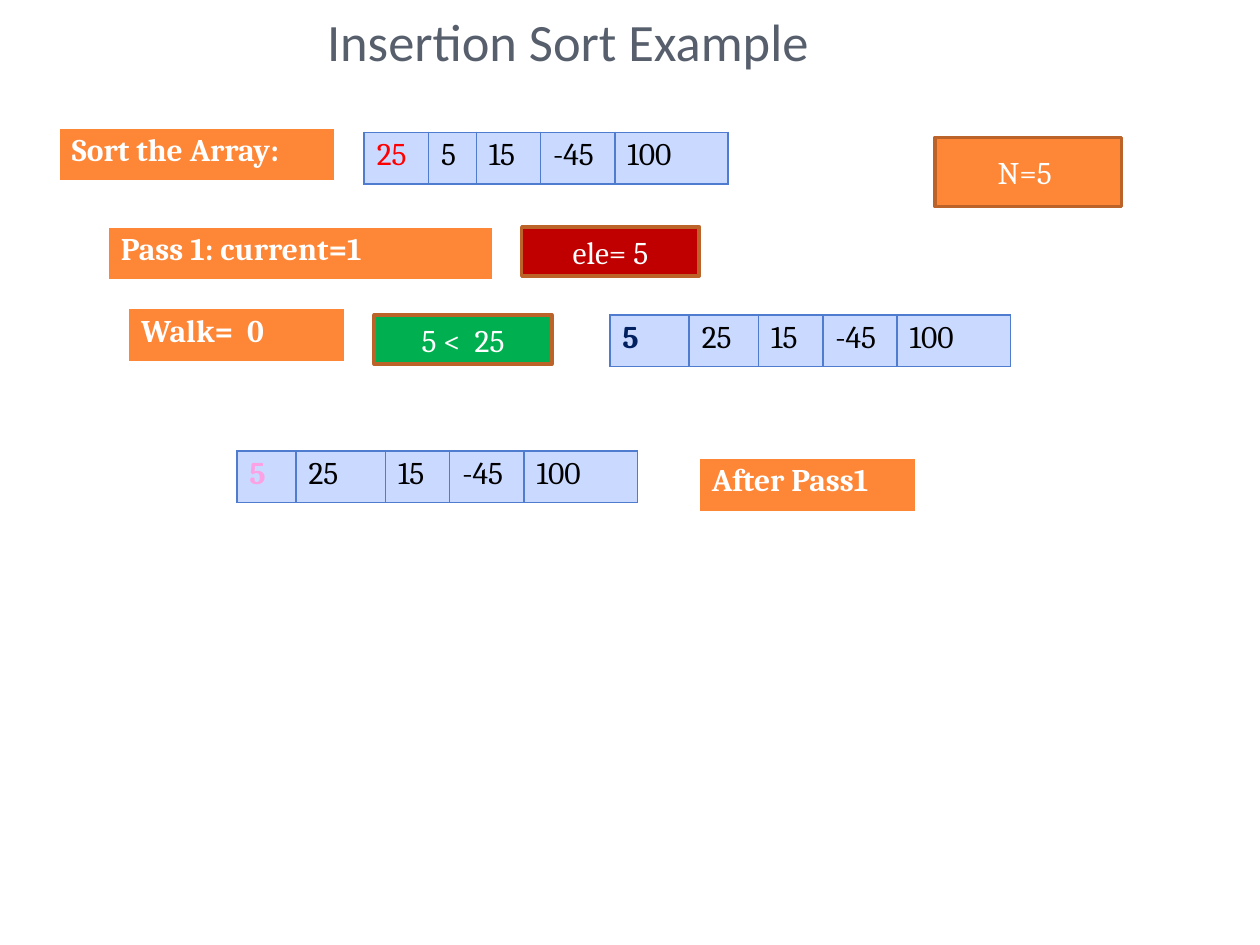
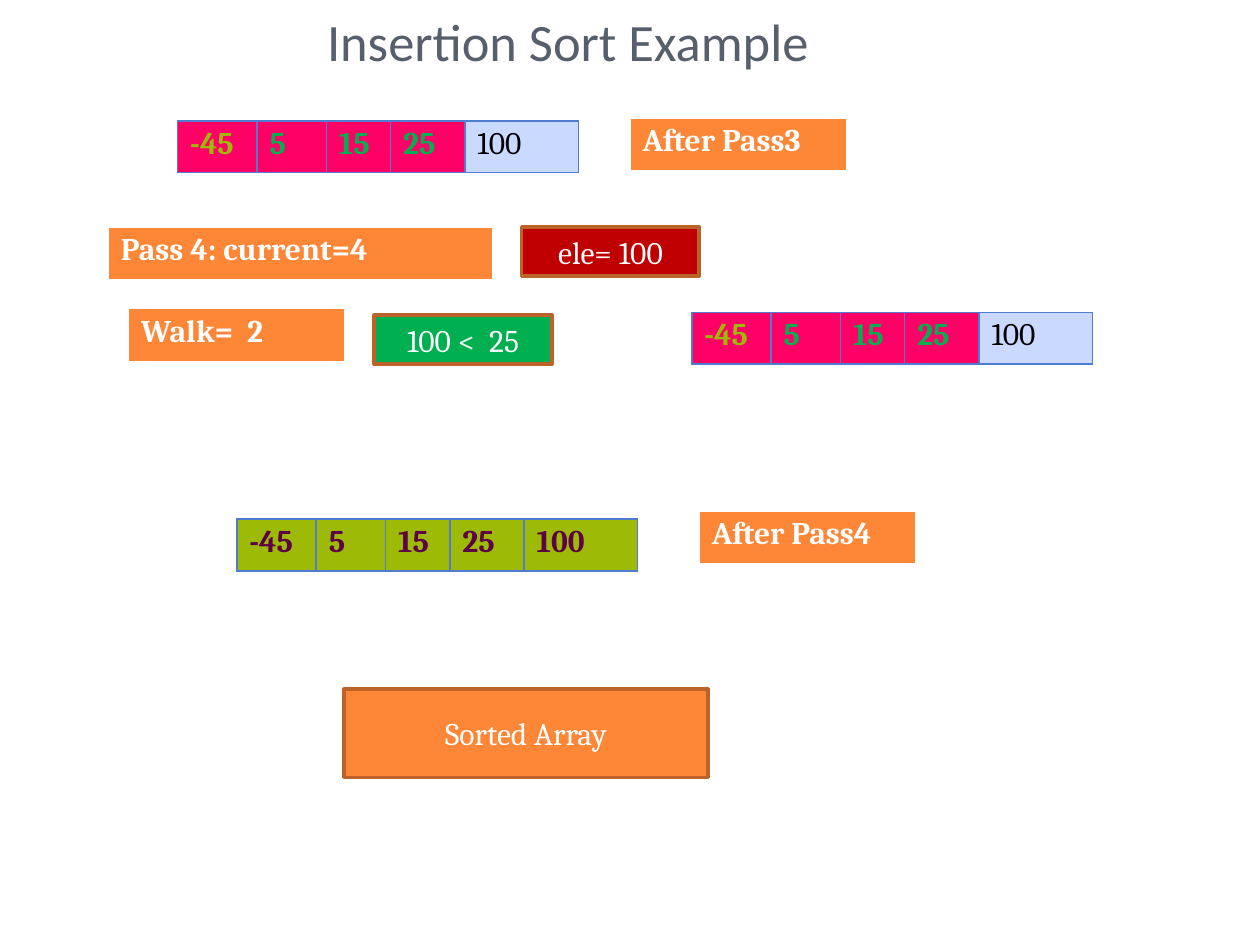
"""Builds two slides that walk through an insertion sort."""
from lxml.etree import SubElement
from pptx import Presentation
from pptx.dml.color import RGBColor
from pptx.enum.shapes import MSO_SHAPE
from pptx.enum.text import MSO_ANCHOR, PP_ALIGN
from pptx.oxml.ns import qn
from pptx.util import Inches, Pt

COLORS = {
    "slate": "575F6D", "white": "FFFFFF", "black": "000000",
    "orange": "FE8637", "rust": "BB6328", "crimson": "C00000",
    "green": "00B050", "sky": "CAD9FF", "grid": "4F7CCE",
    "red": "FF0000", "navy": "002060", "pink": "FCA2E4",
    "magenta": "FF0066", "lime": "9CBA06", "plum": "5D0345",
}
START_WIDTHS = (0.51, 0.38, 0.51, 0.59, 0.9)
MOVED_WIDTHS = (0.63, 0.55, 0.51, 0.59, 0.9)
AFTER_WIDTHS = (0.47, 0.71, 0.51, 0.59, 0.9)
PLAIN = ("black", "sky", False)
SETTLED = ("green", "magenta", True)
NEWEST = ("lime", "magenta", True)
SORTED = ("plum", "lime", True)


def rgb(name):
    return RGBColor.from_string(COLORS[name])


class SortDeck:
    def __init__(self):
        self.deck = Presentation()
        self.deck.slide_width = Inches(10)
        self.deck.slide_height = Inches(7.5)
        self.slide = None

    def style(self, paragraph, color, bold=False, size=18, face="Cambria"):
        font = paragraph.font
        font.name, font.size, font.bold = face, Pt(size), bold
        font.color.rgb = rgb(color)

    def start(self, heading):
        self.slide = self.deck.slides.add_slide(self.deck.slide_layouts[5])
        title = self.slide.shapes.title
        title.left, title.top = Inches(0.47), Inches(0)
        title.width, title.height = Inches(8.17), Inches(0.64)
        title.text_frame.text = heading
        title.text_frame.vertical_anchor = MSO_ANCHOR.MIDDLE
        paragraph = title.text_frame.paragraphs[0]
        paragraph.alignment = PP_ALIGN.CENTER
        self.style(paragraph, "slate", size=30, face="Calibri")

    def border(self, cell, color, bottom):
        properties = cell._tc.get_or_add_tcPr()
        for side, width in (("L", 0.96), ("R", 0.96), ("T", 0.96), ("B", bottom)):
            line = SubElement(properties, qn(f"a:ln{side}"), w=str(Pt(width)))
            fill = SubElement(line, qn("a:solidFill"))
            SubElement(fill, qn("a:srgbClr"), val=COLORS[color])

    def row(self, left, top, height, widths, values, looks, grid="grid", bottom=0.96):
        table = self.slide.shapes.add_table(
            1, len(widths), Inches(left), Inches(top),
            Inches(sum(widths)), Inches(height)).table
        table.first_row = table.horz_banding = False
        for column, width in zip(table.columns, widths):
            column.width = Inches(width)
        for cell, value, (color, fill, bold) in zip(table.rows[0].cells, values, looks):
            self.border(cell, grid, bottom)
            cell.fill.solid()
            cell.fill.fore_color.rgb = rgb(fill)
            cell.text = value
            paragraph = cell.text_frame.paragraphs[0]
            paragraph.line_spacing = 0.93
            self.style(paragraph, color, bold)

    def array(self, left, top, widths, values, looks):
        self.row(left, top, 0.41, widths, values.split(), looks)

    def label(self, left, top, width, text):
        self.row(left, top, 0.43, [width], [text],
                 [("white", "orange", True)], "white", 3)

    def box(self, left, top, width, height, text, fill="orange"):
        box = self.slide.shapes.add_shape(
            MSO_SHAPE.RECTANGLE, Inches(left), Inches(top),
            Inches(width), Inches(height))
        box.shadow.inherit = False
        box.fill.solid()
        box.fill.fore_color.rgb = rgb(fill)
        box.line.color.rgb = rgb("rust")
        box.line.width = Pt(2)
        box.text_frame.text = text
        box.text_frame.vertical_anchor = MSO_ANCHOR.MIDDLE
        paragraph = box.text_frame.paragraphs[0]
        paragraph.alignment = PP_ALIGN.CENTER
        self.style(paragraph, "white")

    def sort_pass(self, number, element, walk, comparison):
        self.start("Insertion Sort Example ")
        self.label(0.86, 1.8, 3.05, f"Pass {number}: current={number}")
        self.label(1.02, 2.45, 1.72, f"Walk=  {walk}")
        self.box(4.14, 1.8, 1.41, 0.39, f"ele= {element}", "crimson")
        self.box(2.97, 2.5, 1.41, 0.39, comparison, "green")

    def after_pass(self, left, top, number):
        self.label(left, top, 1.72, f"After Pass{number}")


def main():
    sort = SortDeck()

    sort.sort_pass(1, 5, 0, "5 <  25")
    sort.label(0.47, 1.02, 2.19, "Sort the Array:")
    sort.array(2.89, 1.05, START_WIDTHS, "25 5 15 -45 100",
               [("red", "sky", False)] + [PLAIN] * 4)
    sort.box(7.42, 1.09, 1.48, 0.55, "N=5 ")
    for left, top, widths, color in ((4.84, 2.5, MOVED_WIDTHS, "navy"),
                                     (1.88, 3.58, AFTER_WIDTHS, "pink")):
        sort.array(left, top, widths, "5 25 15 -45 100",
                   [(color, "sky", True)] + [PLAIN] * 4)
    sort.after_pass(5.55, 3.64, 1)

    sort.sort_pass(4, 100, 2, "100 <  25")
    partly_sorted = [NEWEST] + [SETTLED] * 3 + [PLAIN]
    for left, top, looks in ((1.41, 0.96, partly_sorted),
                             (5.49, 2.48, partly_sorted),
                             (1.88, 4.12, [SORTED] * 5)):
        sort.array(left, top, MOVED_WIDTHS, "-45 5 15 25 100", looks)
    sort.after_pass(5, 0.94, 3)
    sort.after_pass(5.55, 4.06, 4)
    sort.box(2.73, 5.47, 2.89, 0.7, "Sorted Array")

    sort.deck.save("out.pptx")


if __name__ == "__main__":
    main()
